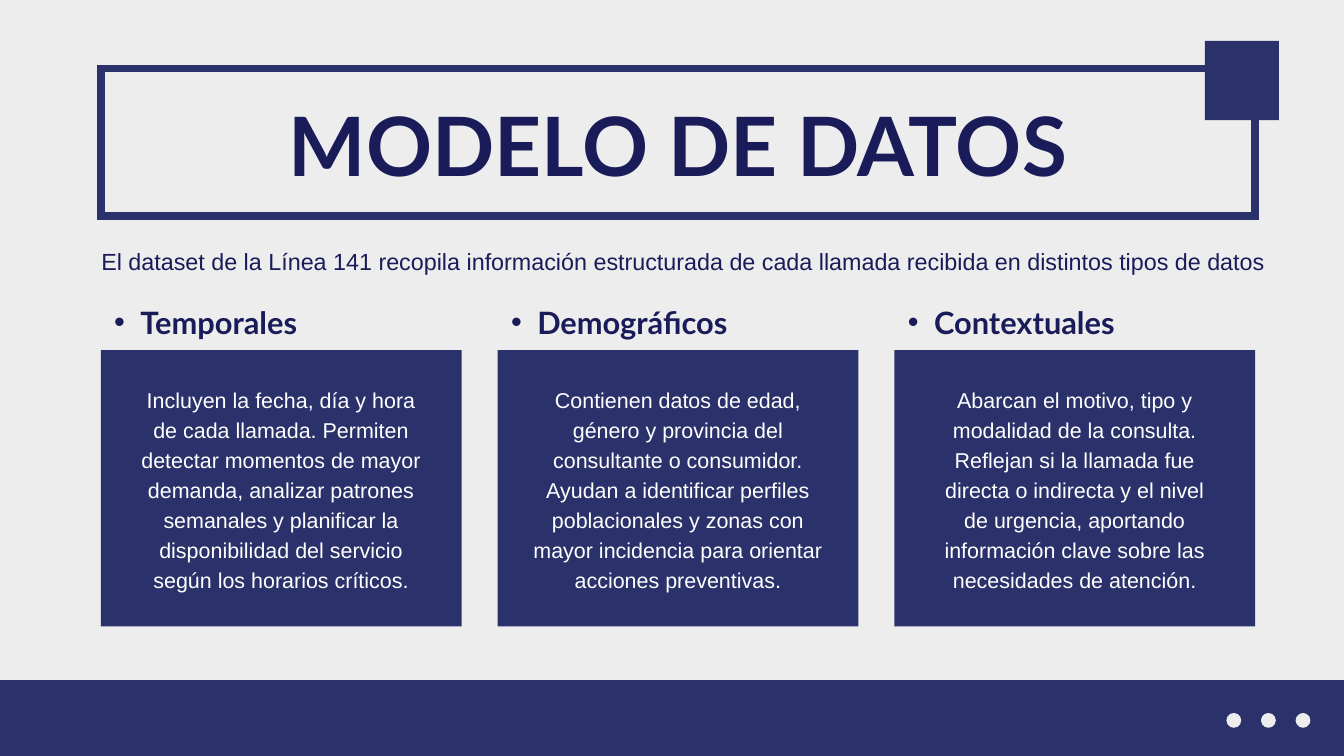
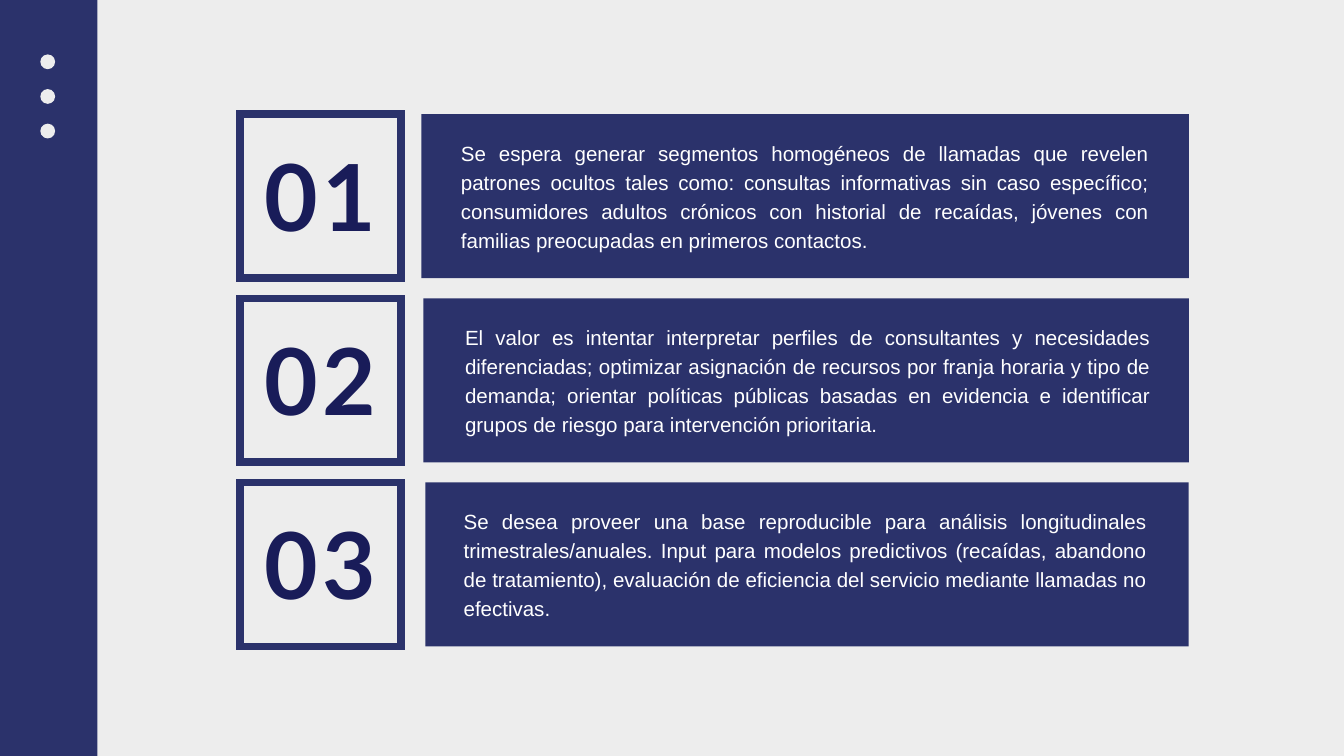
from lxml.etree import SubElement
from pptx import Presentation
from pptx.dml.color import RGBColor
from pptx.enum.shapes import MSO_SHAPE
from pptx.enum.text import MSO_ANCHOR, MSO_AUTO_SIZE, PP_ALIGN
from pptx.oxml.ns import qn
from pptx.util import Inches, Pt

NAVY = RGBColor(0x2B, 0x32, 0x6B)
INK = RGBColor(0x19, 0x1C, 0x59)
PALE = RGBColor(0xED, 0xED, 0xED)
WHITE = RGBColor(0xFF, 0xFF, 0xFF)

WIDTH, HEIGHT = 20, 11.25
COMPARISON_LAYOUT, BLANK_LAYOUT = 4, 6

FRAME_FORMAT = {
    "word_wrap": True, "auto_size": MSO_AUTO_SIZE.NONE,
    "vertical_anchor": MSO_ANCHOR.TOP,
    "margin_left": 0, "margin_top": 0, "margin_right": 0, "margin_bottom": 0,
}


def text_style(font, size, leading, align, color, bold=False):
    return {
        "font": {"name": font, "size": Pt(size), "bold": bold},
        "para": {"alignment": align, "line_spacing": Pt(leading),
                 "space_before": Pt(0), "space_after": Pt(0)},
        "color": color,
    }


TITLE = text_style("Lato", 87.7, 107.9, PP_ALIGN.CENTER, INK, True)
INTRO = text_style("Arial", 25, 35, PP_ALIGN.CENTER, INK)
HEADING = text_style("Lato", 33, 40.6, PP_ALIGN.LEFT, INK, True)
CARD = text_style("Arial", 23, 32.2, PP_ALIGN.CENTER, WHITE)
GOAL = text_style("Arial", 22, 30.8, PP_ALIGN.JUSTIFY, WHITE)
NUMBER = text_style("Lato", 99, 121.8, PP_ALIGN.CENTER, INK, True)

DATA_GROUPS = [
    ("Temporales", 4.23,
     "Incluyen la fecha, día y hora de cada llamada. Permiten detectar momentos "
     "de mayor demanda, analizar patrones semanales y planificar la "
     "disponibilidad del servicio según los horarios críticos."),
    ("Demográficos", 4.42,
     "Contienen datos de edad, género y provincia del consultante o consumidor. "
     "Ayudan a identificar perfiles poblacionales y zonas con mayor incidencia "
     "para orientar acciones preventivas."),
    ("Contextuales", 4.23,
     "Abarcan el motivo, tipo y modalidad de la consulta. Reflejan si la llamada "
     "fue directa o indirecta y el nivel de urgencia, aportando información "
     "clave sobre las necesidades de atención."),
]

GOALS = [
    (6.86, "Se espera generar segmentos homogéneos de llamadas que revelen "
           "patrones ocultos tales como: consultas informativas sin caso "
           "específico; consumidores adultos crónicos con historial de recaídas, "
           "jóvenes con familias preocupadas en primeros contactos."),
    (6.92, "El valor es intentar interpretar perfiles de consultantes y "
           "necesidades diferenciadas; optimizar asignación de recursos por "
           "franja horaria y tipo de demanda; orientar políticas públicas basadas "
           "en evidencia e identificar grupos de riesgo para intervención "
           "prioritaria."),
    (6.90, "Se desea proveer una base reproducible para análisis longitudinales "
           "trimestrales/anuales. Input para modelos predictivos (recaídas, "
           "abandono de tratamiento), evaluación de eficiencia del servicio "
           "mediante llamadas no efectivas."),
]


def apply_format(target, values):
    for name, value in values.items():
        setattr(target, name, value)


class Deck:
    def __init__(self):
        self.deck = Presentation()
        self.deck.slide_width, self.deck.slide_height = Inches(WIDTH), Inches(HEIGHT)
        background = self.deck.slide_master.background.fill
        background.solid()
        background.fore_color.rgb = PALE
        self.page = None

    def add_page(self, layout):
        self.page = self.deck.slides.add_slide(self.deck.slide_layouts[layout])

    def block(self, left, top, width, height, color=NAVY, kind=MSO_SHAPE.RECTANGLE):
        shape = self.page.shapes.add_shape(
            kind, Inches(left), Inches(top), Inches(width), Inches(height))
        shape.shadow.inherit = False
        shape.fill.solid()
        shape.fill.fore_color.rgb = color
        shape.line.fill.background()
        return shape

    def outline(self, left, top, width, height):
        shape = self.block(left, top, width, height)
        shape.fill.background()
        shape.line.color.rgb = NAVY
        shape.line.width = Pt(8.25)
        SubElement(shape.element.spPr.find(qn("a:ln")), qn("a:miter"), lim="800000")

    def dots(self, left, top, step_x=0.0, step_y=0.0):
        for i in range(3):
            self.block(left + i * step_x, top + i * step_y, 0.22, 0.22,
                       PALE, MSO_SHAPE.OVAL)

    def set_text(self, box, text, style):
        """Fill a text box or placeholder with one styled paragraph."""
        frame = box.text_frame
        apply_format(frame, FRAME_FORMAT)
        para = frame.paragraphs[0]
        apply_format(para, style["para"])
        span = para.add_run()
        span.text = text
        apply_format(span.font, style["font"])
        span.font.color.rgb = style["color"]
        return para

    def text(self, left, top, width, height, text, style):
        box = self.page.shapes.add_textbox(
            Inches(left), Inches(top), Inches(width), Inches(height))
        return self.set_text(box, text, style)

    def placeholder(self, index, left, top, width, height, text, style):
        box = self.page.placeholders[index]
        apply_format(box, {"left": Inches(left), "top": Inches(top),
                           "width": Inches(width), "height": Inches(height)})
        return self.set_text(box, text, style)

    def bullet(self, para):
        properties = para._p.get_or_add_pPr()
        properties.set("marL", str(Inches(0.78)))
        properties.set("indent", str(Inches(-0.39)))
        SubElement(properties, qn("a:buFont"), typeface="Arial")
        SubElement(properties, qn("a:buChar"), char="•")

    def track(self, para, points):
        """Set the letter spacing of a paragraph's first run."""
        para.runs[0]._r.get_or_add_rPr().set("spc", str(round(points * 100)))


def add_data_model(deck):
    left, right, card_width, card_top = 1.5, 18.68, 5.37, 5.21
    step = (right - left - card_width) / (len(DATA_GROUPS) - 1)
    deck.add_page(COMPARISON_LAYOUT)
    deck.block(0, 10.12, WIDTH, HEIGHT - 10.12)
    deck.dots(18.25, 10.61, step_x=0.515)

    deck.outline(left, 1.02, right - left, 2.2)
    deck.placeholder(0, left, 1.37, right - left, 1.47, "MODELO DE DATOS", TITLE)
    deck.block(17.93, 0.61, 1.1, 1.18)
    deck.placeholder(1, 1.45, 3.61, 17.42, 0.46,
                     "El dataset de la Línea 141 recopila información estructurada "
                     "de cada llamada recibida en distintos tipos de datos", INTRO)

    for i, (heading, text_width, description) in enumerate(DATA_GROUPS):
        card_left = left + i * step
        para = deck.placeholder(i + 2, card_left - 0.19, 4.5, 5.56, 0.56,
                                heading, HEADING)
        deck.bullet(para)
        deck.block(card_left, card_top, card_width, 4.11)
        deck.text(card_left + (card_width - text_width) / 2, card_top + 0.48,
                  text_width, 3.06, description, CARD)


def add_goals(deck):
    row_height, step, right = 2.44, 2.74, 17.69
    number_left, number_width = 3.57, 2.4
    deck.add_page(BLANK_LAYOUT)
    deck.block(0, 0, 1.45, HEIGHT)
    deck.dots(0.6, 0.81, step_y=0.515)

    for i, (text_left, goal) in enumerate(GOALS):
        top, card_left = 1.7 + i * step, 6.27 + i * 0.03
        deck.block(card_left, top, right - card_left, row_height)
        deck.text(text_left, top + 0.34, 10.23 - i * 0.035, 1.7, goal, GOAL)
        deck.outline(number_left, top, number_width, row_height)
        para = deck.text(number_left, top + 0.33, number_width, 1.68,
                         f"{i + 1:02}", NUMBER)
        deck.track(para, 5.4)


def main():
    deck = Deck()
    add_data_model(deck)
    add_goals(deck)
    deck.deck.save("out.pptx")


if __name__ == "__main__":
    main()
